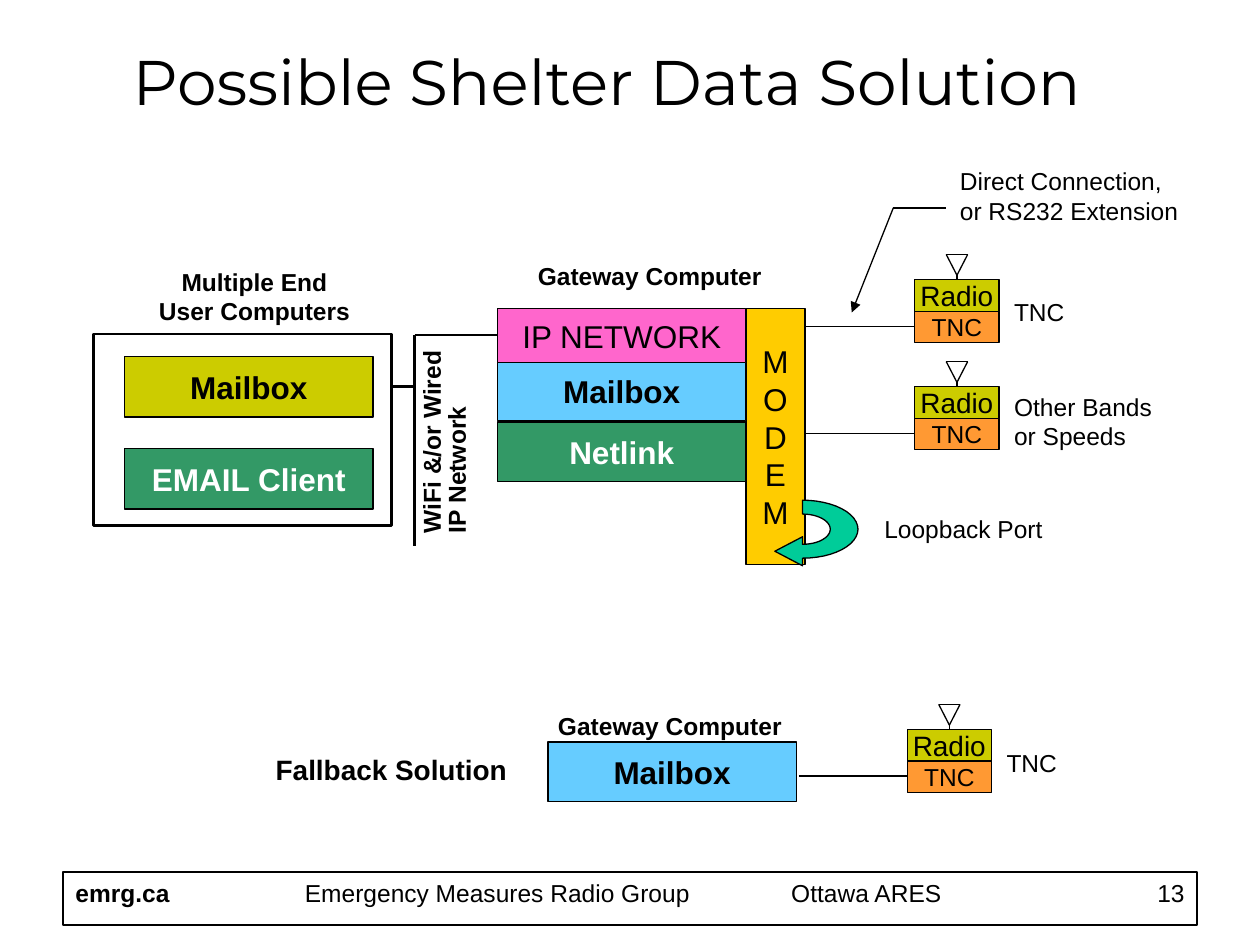
import math
from dataclasses import dataclass

import pptx
import pptx.util
import pptx.dml.color
import pptx.enum.shapes
import pptx.enum.text
import pptx.oxml
import pptx.oxml.ns

ALIGN = pptx.enum.text.PP_ALIGN
ANCHOR = pptx.enum.text.MSO_ANCHOR
SHAPE = pptx.enum.shapes.MSO_SHAPE
WIDTH, HEIGHT = 10, 7.5
COLS, ROWS = 100, 75  # grid of the slide


@dataclass(frozen=True)
class Theme:
    font: str = "Arial"
    head: str = "Montserrat"
    ink: str = "000000"
    paper: str = "FFFFFF"
    olive: str = "CCCC00"
    orange: str = "FF9933"
    gold: str = "FFCC00"
    sky: str = "66CCFF"
    pink: str = "FF66CC"
    green: str = "339966"
    mint: str = "00CC99"
    title: int = 36
    block: int = 18
    mid: int = 16
    label: int = 14
    thin: float = 0.75
    frame: float = 1
    thick: float = 1.5


T = Theme()


def col(n):
    return pptx.util.Inches(n * WIDTH / COLS)


def row(n):
    return pptx.util.Inches(n * HEIGHT / ROWS)


def area(x, y, w, h):
    return col(x), row(y), col(w), row(h)


def rgb(code):
    return pptx.dml.color.RGBColor.from_string(code)


def write(frame, text, size, bold=False, color=T.ink, align=ALIGN.LEFT,
          font=T.font, space=None):
    frame.text = text
    for para in frame.paragraphs:
        para.alignment = align
        if space:
            para.line_spacing = space
        for run in para.runs:
            run.font.size = pptx.util.Pt(size)
            run.font.name = font
            run.font.bold = bold
            run.font.color.rgb = rgb(color)


def paint(shape, fill, width):
    shape.shadow.inherit = False
    if fill:
        shape.fill.solid()
        shape.fill.fore_color.rgb = rgb(fill)
    else:
        shape.fill.background()
    shape.line.color.rgb = rgb(T.ink)
    shape.line.width = pptx.util.Pt(width)


def box(slide, x, y, w, h, fill=None, width=T.thin):
    shape = slide.shapes.add_shape(SHAPE.RECTANGLE, *area(x, y, w, h))
    paint(shape, fill, width)
    return shape


def block(slide, x, y, w, h, fill, text, size=T.block, **style):
    frame = box(slide, x, y, w, h, fill).text_frame
    frame.word_wrap = False
    frame.vertical_anchor = ANCHOR.MIDDLE
    write(frame, text, size, align=ALIGN.CENTER, **style)


def label(slide, x, y, w, h, text, size=T.label, **style):
    shape = slide.shapes.add_textbox(*area(x, y, w, h))
    shape.text_frame.word_wrap = True
    write(shape.text_frame, text, size, **style)
    return shape


def line(slide, x1, y1, x2, y2, width=T.thin, arrow=False):
    link = slide.shapes.add_connector(
        pptx.enum.shapes.MSO_CONNECTOR.STRAIGHT,
        col(x1), row(y1), col(x2), row(y2))
    link.line.color.rgb = rgb(T.ink)
    link.line.width = pptx.util.Pt(width)
    props = link._element.spPr
    if arrow:
        tip = pptx.oxml.ns.qn("a:tailEnd")
        link.line._get_or_add_ln().append(
            props.makeelement(tip, {"type": "triangle"}))
    props.append(props.makeelement(pptx.oxml.ns.qn("a:effectLst"), {}))


def radio(slide, x, y):
    """A radio on top of its TNC, with a mast above and a wire at left."""
    wide, high = 6.7, 2.5
    block(slide, x, y + high, wide, high, T.orange, "TNC", T.label)
    block(slide, x, y, wide, high, T.olive, "Radio", T.mid)
    mid, base, top = x + wide / 2, y - 0.35, y - 2
    line(slide, mid, y, mid, base)
    for side in (-0.85, 0.85):
        line(slide, mid, base, mid + side, top)
    line(slide, mid - 0.85, top, mid + 0.85, top)
    line(slide, x - 8.6, y + 3.7, x, y + 3.7)


def arc(x, y, wide, high, start, end, steps=24):
    turns = [math.radians(start + (end - start) * i / steps)
             for i in range(steps + 1)]
    return [(col(x + wide * math.cos(t)), row(y + high * math.sin(t)))
            for t in turns]


def loop(slide, x, y):
    """A half ring whose lower end is an arrow to the left."""
    head = [(x, y + 2.9), (x - 2.2, y + 1.75), (x, y + 0.6)]
    points = (arc(x, y, 4.4, 2.3, -90, 90)
              + [(col(a), row(b)) for a, b in head]
              + arc(x, y, 2.2, 1.2, 90, -90))
    path = slide.shapes.build_freeform(*points[0])
    path.add_line_segments(points[1:], close=True)
    paint(path.convert_to_shape(), T.mint, T.thin)


def title(slide, text):
    shape = slide.shapes.title
    shape.left, shape.top, shape.width, shape.height = area(
        3.8, 3.8, 88.7, 6.1)
    frame = shape.text_frame
    frame.auto_size = pptx.enum.text.MSO_AUTO_SIZE.NONE
    frame.vertical_anchor = ANCHOR.TOP
    write(frame, text, T.title, align=ALIGN.CENTER, font=T.head, space=0.85)


def footer(slide):
    top = 69.2
    box(slide, 5, top, 90, 4.2, width=T.frame)
    label(slide, 5, top, 10.1, 3.4, "emrg.ca", bold=True)
    group = label(slide, 16.5, top, 66, 4.3,
                  "Emergency Measures Radio Group\tOttawa ARES")
    frame = group.text_frame
    frame.margin_left = col(7.7)
    props = frame.paragraphs[0]._p.get_or_add_pPr()
    props.append(pptx.oxml.parse_xml(
        '<a:tabLst %s><a:tab pos="%d" algn="l"/></a:tabLst>'
        % (pptx.oxml.ns.nsdecls("a"), col(38.6))))
    label(slide, 83.1, top, 11.9, 4.3, "13", align=ALIGN.RIGHT)


def users(slide):
    box(slide, 7.4, 26.5, 23.7, 15.2, T.paper, T.thick)
    block(slide, 9.9, 28.3, 19.7, 4.8, T.olive, "Mailbox", bold=True)
    block(slide, 9.9, 35.6, 19.7, 4.8, T.green, "EMAIL Client",
          bold=True, color=T.paper)
    label(slide, 11.4, 20.7, 17.6, 5.7, "Multiple End User Computers",
          bold=True, align=ALIGN.CENTER)


def network(slide):
    bus = 32.9
    line(slide, bus, 26.6, bus, 43.3, T.thick)
    line(slide, 31.1, 30.7, bus, 30.7, T.thick)
    line(slide, bus, 26.6, 39.5, 26.6, T.thick)
    note = label(slide, 27, 32.4, 16.8, 5, "WiFi &/or Wired IP Network",
                 bold=True, space=0.85)
    note.rotation = 270


def gateway(slide):
    left, wide = 39.5, 19.7
    block(slide, left + wide, 24.5, 4.7, 20.3, T.gold, "M\nO\nD\nE\nM")
    block(slide, left, 28.7, wide, 4.7, T.sky, "Mailbox", bold=True)
    block(slide, left, 24.5, wide, 4.3, T.pink, "IP NETWORK")
    block(slide, left, 33.5, wide, 4.7, T.green, "Netlink",
          bold=True, color=T.paper)
    label(slide, 41.7, 20.2, 20.2, 3.4, "Gateway Computer", bold=True)


def radios(slide):
    radio(slide, 72.6, 22.2)
    label(slide, 79.5, 23.1, 7.4, 3.4, "TNC")
    radio(slide, 72.6, 30.7)
    label(slide, 79.5, 30.6, 13.2, 5.7, "Other Bands or Speeds")
    loop(slide, 63.7, 42)
    label(slide, 69.2, 40.3, 15, 3.4, "Loopback Port")
    label(slide, 75.2, 12.7, 19.7, 5.7,
          "Direct Connection, or RS232 Extension")
    line(slide, 70.9, 16.5, 67.6, 24.8, arrow=True)
    line(slide, 70.9, 16.5, 75.1, 16.5)


def fallback(slide):
    block(slide, 43.5, 58.9, 19.7, 4.7, T.sky, "Mailbox", bold=True)
    radio(slide, 72, 57.9)
    label(slide, 78.9, 58.9, 7.4, 3.4, "TNC")
    label(slide, 43.3, 55.9, 20.2, 3.4, "Gateway Computer", bold=True)
    label(slide, 20.9, 59.2, 21, 3.7, "Fallback Solution", T.mid, bold=True)


def main():
    deck = pptx.Presentation()
    deck.slide_width, deck.slide_height = col(COLS), row(ROWS)
    slide = deck.slides.add_slide(deck.slide_layouts[5])
    title(slide, "Possible Shelter Data Solution")
    for part in (users, network, gateway, radios, fallback, footer):
        part(slide)
    deck.save("out.pptx")


if __name__ == "__main__":
    main()
